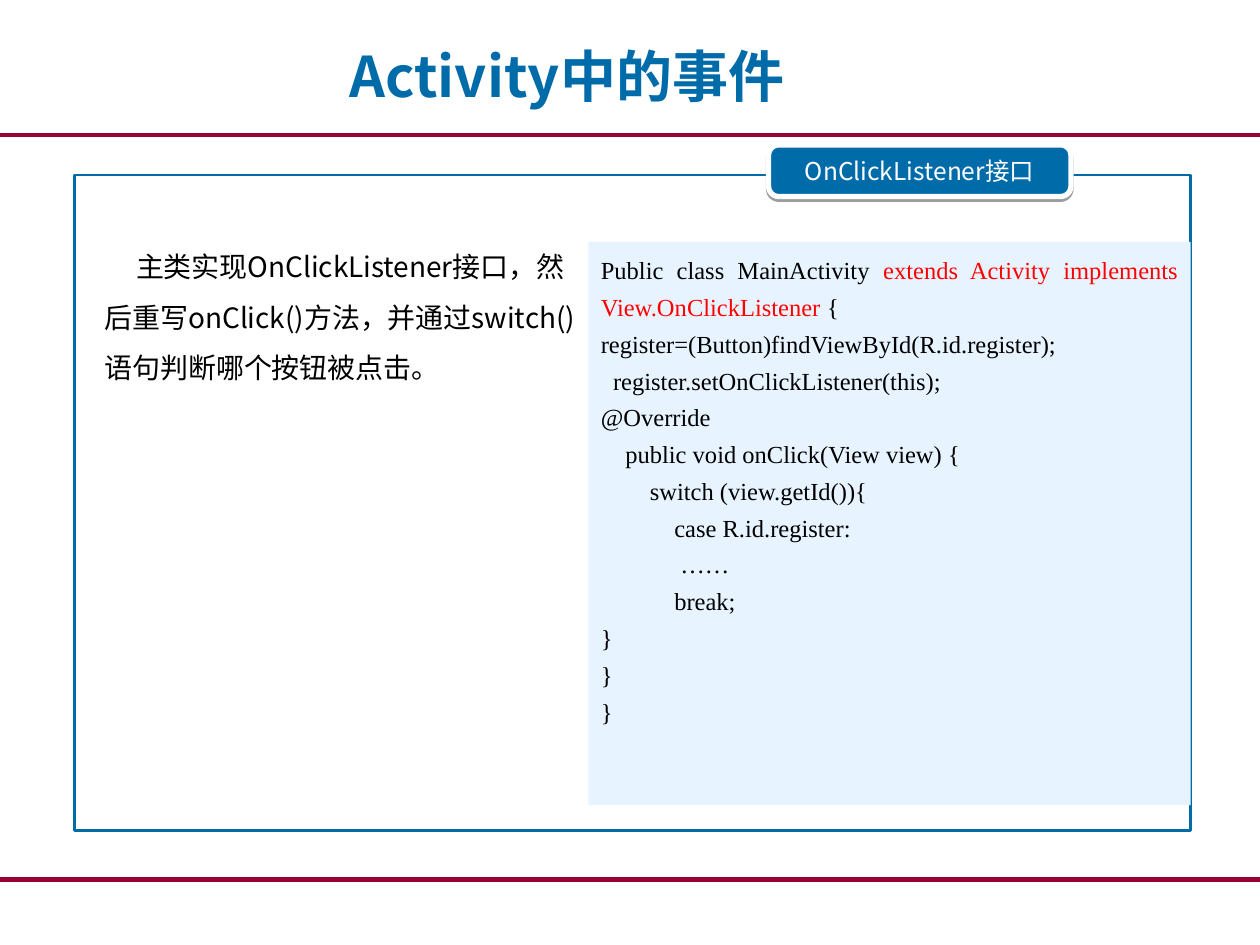
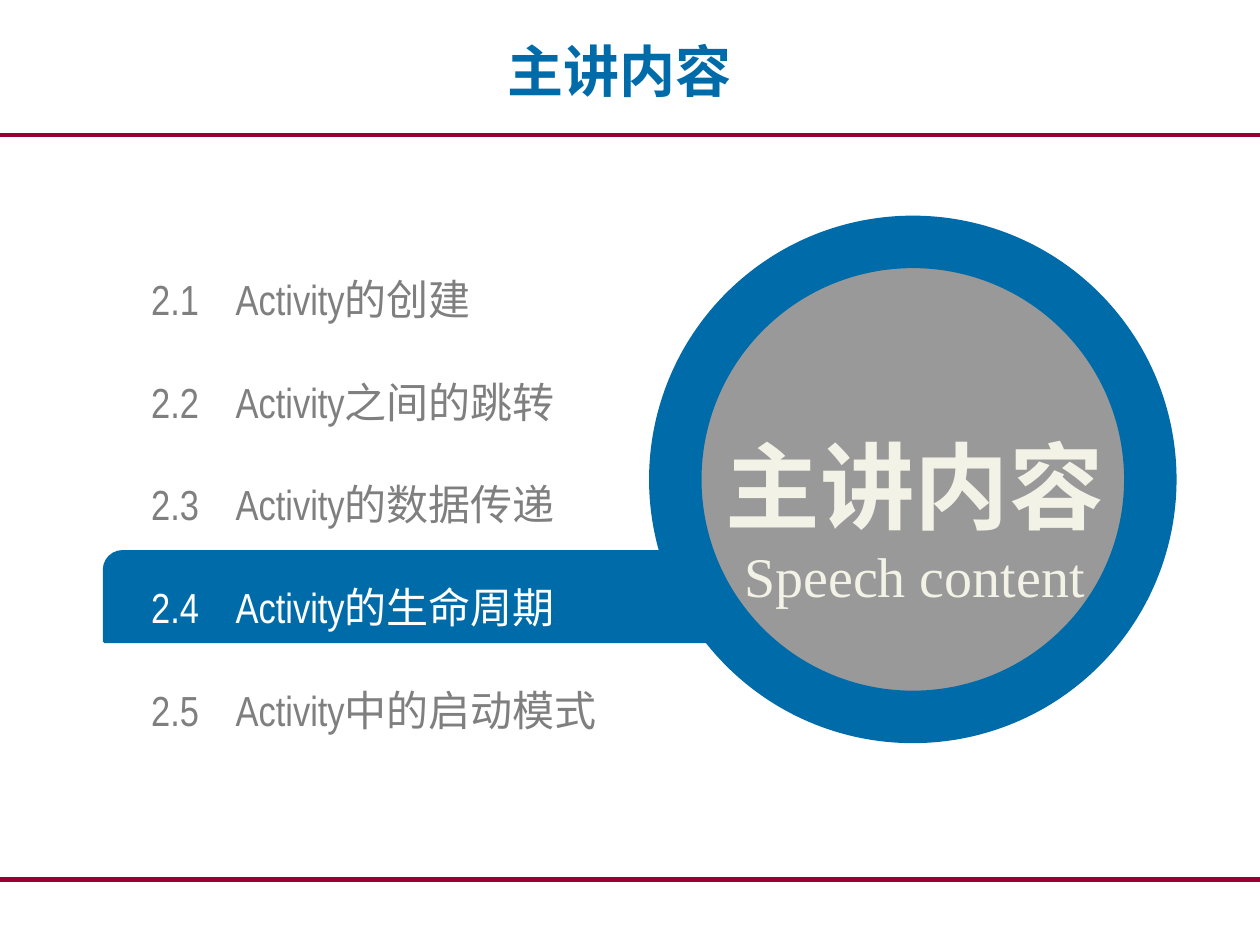
from lxml import etree
from pptx import Presentation
from pptx.dml.color import RGBColor
from pptx.enum.shapes import MSO_CONNECTOR, MSO_SHAPE
from pptx.enum.text import MSO_ANCHOR, MSO_AUTO_SIZE, PP_ALIGN
from pptx.oxml.ns import qn
from pptx.util import Inches, Pt

STRAIGHT = MSO_CONNECTOR.STRAIGHT
RECTANGLE, OVAL = MSO_SHAPE.RECTANGLE, MSO_SHAPE.OVAL
ROUNDED, DIAGONAL = MSO_SHAPE.ROUNDED_RECTANGLE, MSO_SHAPE.ROUND_2_DIAG_RECTANGLE
TOP, MIDDLE = MSO_ANCHOR.TOP, MSO_ANCHOR.MIDDLE
NO_FIT = MSO_AUTO_SIZE.NONE
LEFT, CENTER, JUSTIFY = PP_ALIGN.LEFT, PP_ALIGN.CENTER, PP_ALIGN.JUSTIFY

COLORS = {
    "blue": "006BA9",
    "crimson": "990033",
    "pale": "E7F4FF",
    "gray": "999999",
    "dim": "7F7F7F",
    "cream": "F2F2E6",
    "red": "FF0000",
    "black": "000000",
    "white": "FFFFFF",
}
SANS, SERIF, NARROW = "Noto Sans CJK SC", "Times New Roman", "Arial Narrow"
TITLE_AND_BODY, TITLE_ONLY = 1, 5

CODE = [
    [("Public class MainActivity", "black"),
     (" extends Activity implements View.OnClickListener ", "red"),
     ("{", "black")],
    [("register=(Button)findViewById(R.id.register);", "black")],
    [("  register.setOnClickListener(this);", "black")],
    [("@Override", "black")],
    [("    public void onClick(View view) {", "black")],
    [("        switch (view.getId()){", "black")],
    [("            case R.id.register:", "black")],
    [("             ……", "black")],
    [("            break;", "black")],
    [("}", "black")],
    [("}", "black")],
    [("}", "black")],
]
TOPICS = ["Activity的创建", "Activity之间的跳转", "Activity的数据传递",
          "Activity的生命周期", "Activity中的启动模式"]
CURRENT_TOPIC = 4


def color(name):
    return RGBColor.from_string(COLORS[name])


def place(shape, at):
    shape.left, shape.top, shape.width, shape.height = map(Inches, at)


def add_span(para, text, font, size, tint, bold=False):
    span = para.add_run()
    span.text = text
    span.font.name = font
    span.font.size = Pt(size)
    span.font.bold = bold
    span.font.color.rgb = color(tint)
    east_asian = etree.SubElement(span.font._element, qn("a:ea"))
    east_asian.set("typeface", SANS)


def set_frame(shape, anchor, inset=(0.1, 0.05)):
    frame = shape.text_frame
    frame.auto_size = NO_FIT
    frame.word_wrap = True
    frame.vertical_anchor = anchor
    frame.margin_left = frame.margin_right = Inches(inset[0])
    frame.margin_top = frame.margin_bottom = Inches(inset[1])
    return frame


def set_para(para, align, spacing=1.0):
    para.alignment = align
    para.line_spacing = spacing
    para.space_before = para.space_after = Pt(0)
    return para


def add_box(page, at, anchor, inset=(0.1, 0.05)):
    box = page.shapes.add_textbox(*map(Inches, at))
    return set_frame(box, anchor, inset)


def add_shape(page, kind, at, fill=None, line=None, weight=0):
    shape = page.shapes.add_shape(kind, *map(Inches, at))
    shape.shadow.inherit = False
    if fill:
        shape.fill.solid()
        shape.fill.fore_color.rgb = color(fill)
    else:
        shape.fill.background()
    if line:
        shape.line.color.rgb = color(line)
        shape.line.width = Pt(weight)
    else:
        shape.line.fill.background()
    return shape


def add_drop_shadow(shape):
    effects = shape._element.spPr.find(qn("a:effectLst"))
    shadow = etree.SubElement(effects, qn("a:outerShdw"), blurRad="0",
                              dist=str(Pt(1.6)), dir="5400000", rotWithShape="0")
    tint = etree.SubElement(shadow, qn("a:srgbClr"), val=COLORS["black"])
    etree.SubElement(tint, qn("a:alpha"), val="38000")


def add_master_rules(deck, page):
    for number, (top, weight) in enumerate([(6.98, 3), (1.07, 2)]):
        rule = page.shapes.add_connector(
            STRAIGHT, 0, Inches(top), deck.slide_width, Inches(top))
        rule.line.color.rgb = color("crimson")
        rule.line.width = Pt(weight)
        element = rule._element
        etree.SubElement(element.spPr, qn("a:effectLst"))
        element.nvCxnSpPr.cNvPr.id = 101 + number
        deck.slide_master.shapes.element.append(element)


def add_page(deck, layout, title, at):
    page = deck.slides.add_slide(deck.slide_layouts[layout])
    heading = page.shapes.title
    place(heading, at)
    para = set_para(set_frame(heading, MIDDLE).paragraphs[0], CENTER)
    add_span(para, title, SANS, 32, "blue", bold=True)
    return page


def add_explanation(page, text):
    body = page.placeholders[1]
    place(body, (0.53, 1.8, 4.15, 4.78))
    para = set_para(set_frame(body, TOP).paragraphs[0], LEFT, 1.5)
    properties = para._p.get_or_add_pPr()
    properties.set("marL", str(Inches(0.2)))
    properties.set("indent", str(Inches(0.25)))
    etree.SubElement(properties, qn("a:buNone"))
    add_span(para, text, SANS, 16, "black")


def add_badge(page, text):
    badge = add_shape(page, ROUNDED, (6.1, 1.15, 2.4, 0.41), "blue", "white", 3)
    badge.adjustments[0] = 0.2
    add_drop_shadow(badge)
    frame = set_frame(badge, MIDDLE, (0.1, 0.05))
    add_span(set_para(frame.paragraphs[0], CENTER), text, SANS, 14, "white")


def add_code(page, lines):
    panel = add_shape(page, RECTANGLE, (4.67, 1.92, 4.78, 4.47), "pale")
    frame = set_frame(panel, TOP)
    for index, line in enumerate(lines):
        para = frame.add_paragraph() if index else frame.paragraphs[0]
        set_para(para, JUSTIFY, 1.25)
        for text, tint in line:
            add_span(para, text, SERIF, 14, tint)


def add_topic(page, number, text):
    top = 2.17 + 0.815 * (number - 1)
    frame = add_box(page, (1.2, top, 4.19, 0.4), MIDDLE, (0, 0))
    para = set_para(frame.paragraphs[0], LEFT)
    tabs = etree.SubElement(para._p.get_or_add_pPr(), qn("a:tabLst"))
    etree.SubElement(tabs, qn("a:tab"), pos=str(Inches(0.67)), algn="l")
    tint = "white" if number == CURRENT_TOPIC else "dim"
    add_span(para, f"2.{number}\t{text}", NARROW, 24, tint)


def add_emblem(page):
    add_shape(page, OVAL, (5.36, 1.92, 3.77, 3.77), "gray", "blue", 30)
    frame = add_box(page, (5.31, 2.89, 3.9, 1.99), MIDDLE)
    add_span(set_para(frame.paragraphs[0], CENTER, 1.5),
             "主讲内容", SANS, 54, "cream", bold=True)
    add_span(set_para(frame.add_paragraph(), CENTER),
             "Speech content", SERIF, 32, "cream")


def build_listener_page(deck):
    page = add_page(deck, TITLE_AND_BODY, "Activity中的事件", (0, 0.1, 9, 0.99))
    add_master_rules(deck, page)
    add_explanation(page, "主类实现OnClickListener接口，然后重写onClick()方法，"
                          "并通过switch()语句判断哪个按钮被点击。")
    add_shape(page, RECTANGLE, (0.59, 1.39, 8.86, 5.2), line="blue", weight=1.5)
    add_badge(page, "OnClickListener接口")
    add_code(page, CODE)


def build_contents_page(deck):
    page = add_page(deck, TITLE_ONLY, "主讲内容", (0.42, 0.06, 9, 0.99))
    highlight = add_shape(page, DIAGONAL, (0.83, 4.38, 5.35, 0.71), "blue", "blue", 2)
    highlight.adjustments[0] = 0.2
    for number, text in enumerate(TOPICS, 1):
        add_topic(page, number, text)
    add_emblem(page)


def main():
    deck = Presentation()
    deck.slide_width, deck.slide_height = Inches(10), Inches(7.5)
    build_listener_page(deck)
    build_contents_page(deck)
    deck.save("out.pptx")


if __name__ == "__main__":
    main()
